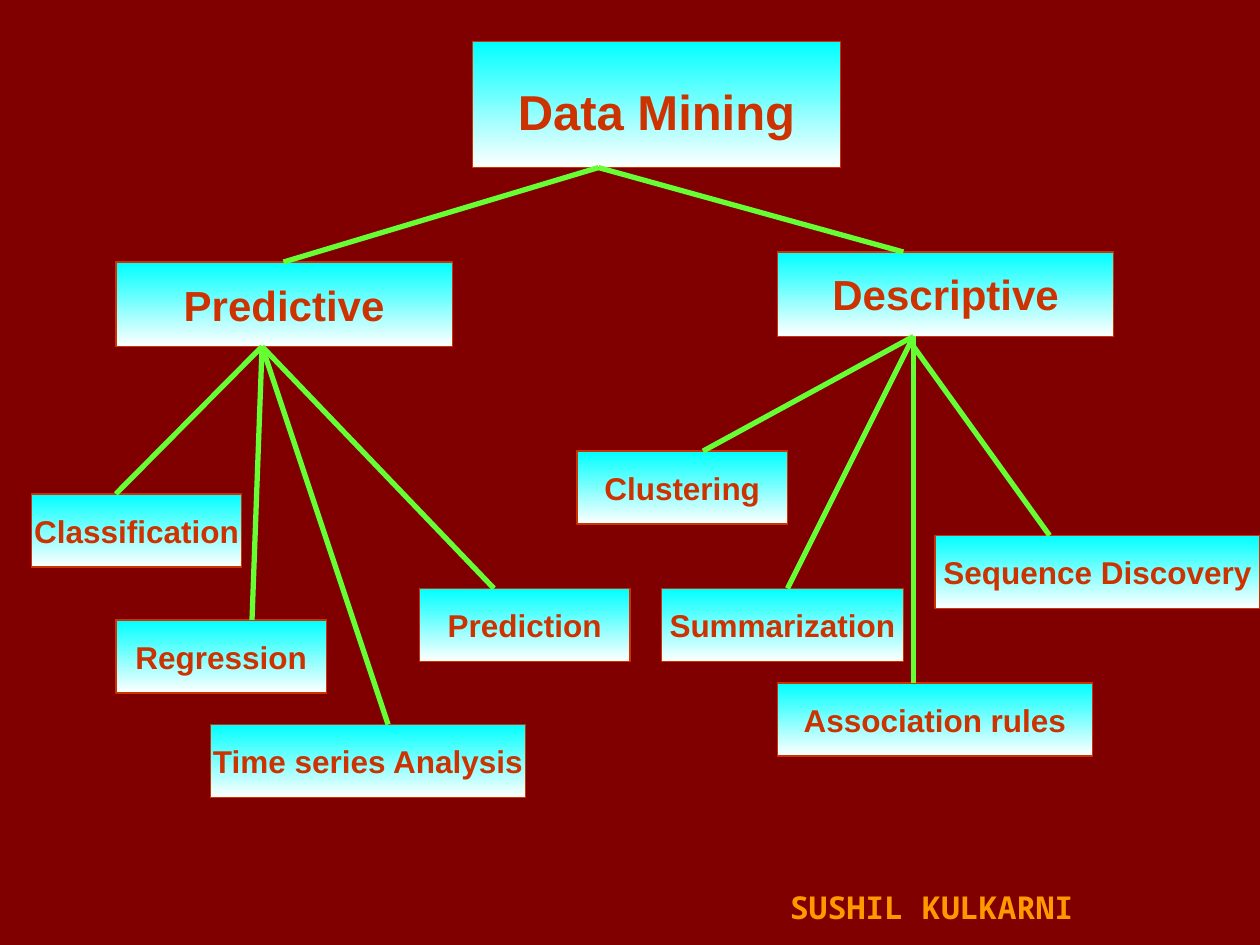
"""Build a one-slide tree of data mining tasks."""
from lxml.etree import SubElement
from pptx import Presentation
from pptx.dml.color import RGBColor
from pptx.enum.shapes import MSO_CONNECTOR as Connector, MSO_SHAPE as Shape
from pptx.enum.text import MSO_ANCHOR as Anchor, PP_ALIGN as Align
from pptx.oxml.ns import qn
from pptx.util import Inches, Pt

COLORS = {
    "background": "800000",
    "box_top": "00FFFF",
    "box_bottom": "FFFFFF",
    "label": "CC3300",
    "branch": "66FF33",
    "author": "FF9900",
}
LEAF_HEIGHT = 0.58
GROUPS = [
    ("Predictive", (0.92, 2.08), (2.25, 2.08), [
        ("Classification", (0.25, 3.92, 1.67), (2.08, 2.75), 0.92),
        ("Regression", (0.92, 4.92, 1.67), (2.08, 2.75), 2),
        ("Time series Analysis", (1.67, 5.75, 2.5), (2.08, 2.75), 3.08),
        ("Prediction", (3.33, 4.67, 1.67), (2.08, 2.75), 3.92),
    ]),
    ("Descriptive", (6.17, 2), (7.17, 2), [
        ("Clustering", (4.58, 3.58, 1.67), (7.25, 2.67), 5.58),
        ("Summarization", (5.25, 4.67, 1.92), (7.25, 2.67), 6.25),
        ("Association rules", (6.17, 5.42, 2.5), (7.25, 2.67), 7.25),
        ("Sequence Discovery", (7.42, 4.25, 2.58), (7.25, 2.75), 8.33),
    ]),
]


class TreePage:
    """Hold the style and the current slide."""

    def __init__(self, deck):
        self.page = deck.slides.add_slide(deck.slide_layouts[6])
        fill = self.page.background.fill
        fill.solid()
        fill.fore_color.rgb = self.color("background")

    def color(self, name):
        return RGBColor.from_string(COLORS[name])

    def label(self, para, text, size, color, font="Arial"):
        para.text = text
        para.font.name = font
        para.font.size = Pt(size)
        para.font.bold = True
        para.font.color.rgb = self.color(color)

    def node(self, text, left, top, width, height, size):
        box = self.page.shapes.add_shape(
            Shape.RECTANGLE, Inches(left), Inches(top), Inches(width), Inches(height))
        box.shadow.inherit = False
        box.fill.gradient()
        box.fill.gradient_angle = 270
        for stop, name in zip(box.fill.gradient_stops, ("box_top", "box_bottom")):
            stop.color.rgb = self.color(name)
        box.line.color.rgb = self.color("label")
        box.line.width = Pt(0.75)
        frame = box.text_frame
        frame.word_wrap = False
        frame.vertical_anchor = Anchor.MIDDLE
        para = frame.paragraphs[0]
        para.alignment = Align.CENTER
        self.label(para, text, size, "label")
        return para

    def branch(self, start, end):
        line = self.page.shapes.add_connector(
            Connector.STRAIGHT, *(Inches(value) for value in (*start, *end)))
        line.line.color.rgb = self.color("branch")
        line.line.width = Pt(3)
        SubElement(line._element.spPr, qn("a:effectLst"))

    def author(self, text, left, top, width, height):
        box = self.page.shapes.add_textbox(
            Inches(left), Inches(top), Inches(width), Inches(height))
        box.text_frame.word_wrap = True
        self.label(box.text_frame.paragraphs[0], text, 18, "author", "Noto Sans Mono")


def main():
    deck = Presentation()
    deck.slide_width, deck.slide_height = Inches(10), Inches(7.5)
    tree = TreePage(deck)
    root = tree.node("Data Mining", 3.75, 0.33, 2.92, 1, 28)
    root.line_spacing = 1.2
    for name, corner, joint, leaves in GROUPS:
        tree.node(name, *corner, 2.67, 0.67, 24)
        for text, place, _, _ in leaves:
            tree.node(text, *place, LEAF_HEIGHT, 18)
        for _, (_, top, _), start, end_x in leaves:
            tree.branch(start, (end_x, top))
        tree.branch((4.75, 1.33), joint)
    tree.author("SUSHIL KULKARNI", 6.17, 7, 2.58, 0.4)
    deck.save("out.pptx")


if __name__ == "__main__":
    main()
